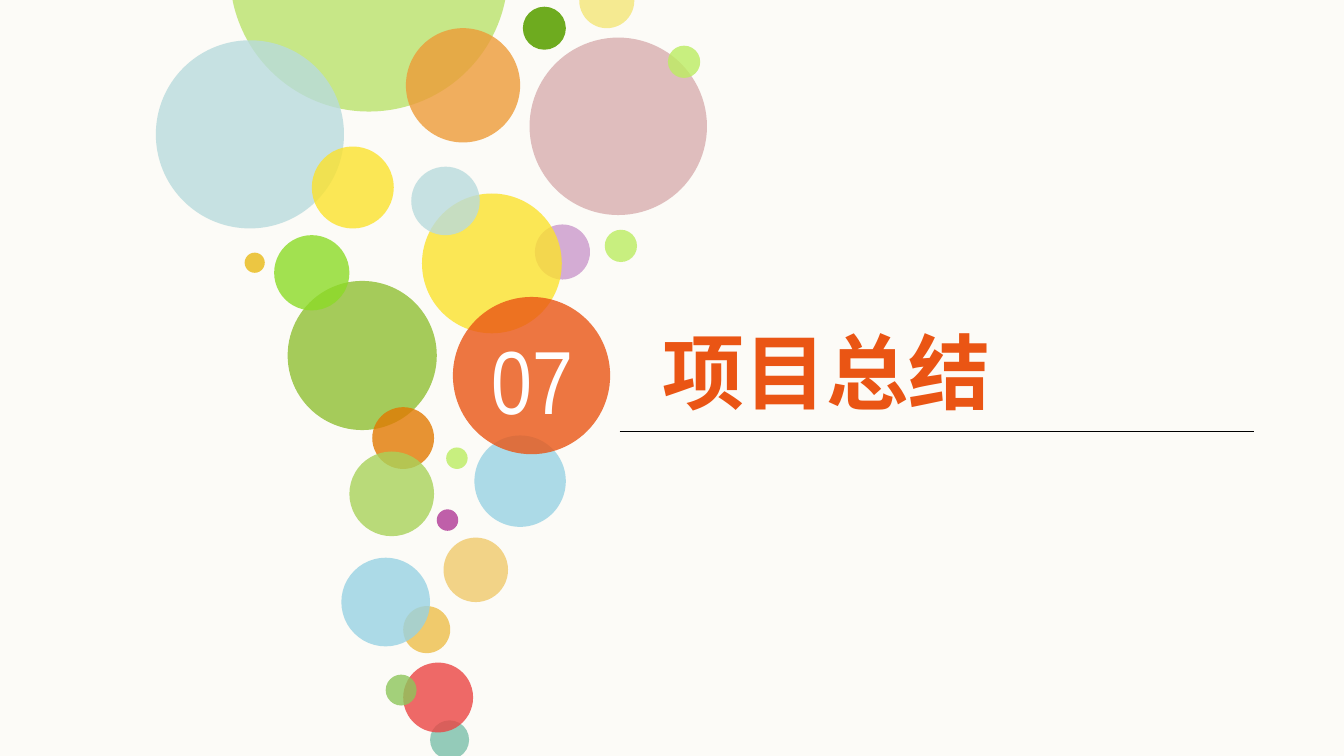
from typing import NamedTuple

from lxml import etree
from pptx import Presentation
from pptx import util as u
from pptx.dml.color import RGBColor
from pptx.enum import shapes, text
from pptx.oxml import ns

BACKGROUND = RGBColor(0xFC, 0xFB, 0xF7)
WHITE = RGBColor(0xFF, 0xFF, 0xFF)
BLACK = RGBColor(0x00, 0x00, 0x00)
VERMILION = RGBColor(0xEA, 0x55, 0x14)
ORANGE = RGBColor(0xED, 0x9B, 0x38)
DARK_ORANGE = RGBColor(0xE2, 0x79, 0x02)
GOLD = RGBColor(0xE9, 0xB9, 0x15)
SAND = RGBColor(0xF0, 0xCA, 0x6C)
YELLOW = RGBColor(0xFB, 0xE2, 0x2D)
PALE_YELLOW = RGBColor(0xF5, 0xEA, 0x91)
PALE_GREEN = RGBColor(0xBA, 0xE3, 0x6B)
LIME = RGBColor(0xBC, 0xED, 0x61)
BRIGHT_GREEN = RGBColor(0x8C, 0xDB, 0x27)
DARK_GREEN = RGBColor(0x6E, 0xAB, 0x1F)
OLIVE = RGBColor(0xA5, 0xCB, 0x5A)
LIGHT_OLIVE = RGBColor(0xA9, 0xD2, 0x5A)
LEAF = RGBColor(0x8D, 0xC6, 0x5B)
TEAL = RGBColor(0x7B, 0xBF, 0xAA)
MIST = RGBColor(0xB9, 0xDB, 0xDD)
SKY = RGBColor(0x98, 0xD2, 0xE3)
ROSE = RGBColor(0xD8, 0xAE, 0xAF)
LILAC = RGBColor(0xCB, 0x99, 0xCC)
MAGENTA = RGBColor(0xB0, 0x38, 0x96)
RED = RGBColor(0xEB, 0x45, 0x44)


class Bubble(NamedTuple):
    left: float
    top: float
    diameter: float
    color: RGBColor
    opacity: int = 80


BUBBLES = [
    Bubble(1.71, -1.24, 2.07, PALE_GREEN),
    Bubble(3.89, 0.05, 0.32, DARK_GREEN, 100),
    Bubble(1.16, 0.3, 1.4, MIST),
    Bubble(3.02, 0.21, 0.85, ORANGE),
    Bubble(4.31, -0.2, 0.41, PALE_YELLOW, 100),
    Bubble(3.94, 0.28, 1.32, ROSE),
    Bubble(2.14, 2.09, 1.11, OLIVE, 100),
    Bubble(4.97, 0.34, 0.24, LIME),
    Bubble(4.5, 1.71, 0.24, LIME),
    Bubble(3.98, 1.67, 0.41, LILAC),
    Bubble(3.14, 1.44, 1.04, YELLOW),
    Bubble(2.32, 1.09, 0.61, YELLOW),
    Bubble(2.04, 1.75, 0.56, BRIGHT_GREEN),
    Bubble(1.82, 1.88, 0.15, GOLD),
    Bubble(3.32, 3.33, 0.16, LIME),
    Bubble(3.25, 3.79, 0.16, MAGENTA),
    Bubble(3.3, 4, 0.48, SAND),
    Bubble(3, 4.51, 0.35, SAND, 100),
    Bubble(3.2, 5.36, 0.29, TEAL),
    Bubble(3, 4.93, 0.52, RED),
    Bubble(2.87, 5.02, 0.23, LEAF),
    Bubble(2.54, 4.15, 0.66, SKY),
    Bubble(3.06, 1.24, 0.51, MIST),
    Bubble(3.53, 3.24, 0.68, SKY),
    Bubble(2.77, 3.03, 0.46, DARK_ORANGE),
    Bubble(2.6, 3.36, 0.63, LIGHT_OLIVE),
    Bubble(3.37, 2.21, 1.17, VERMILION),
]


def draw_bubble(slide, bubble: Bubble) -> None:
    shape = slide.shapes.add_shape(
        shapes.MSO_SHAPE.OVAL, u.Inches(bubble.left), u.Inches(bubble.top),
        u.Inches(bubble.diameter), u.Inches(bubble.diameter))
    shape.shadow.inherit = False
    shape.line.fill.background()
    shape.fill.solid()
    shape.fill.fore_color.rgb = bubble.color
    if bubble.opacity < 100:
        color = shape.fill._xPr.find(".//" + ns.qn("a:srgbClr"))
        etree.SubElement(color, ns.qn("a:alpha"), val=str(bubble.opacity * 1000))


def write_text(shape, content: str, *, font: str, size: float, color: RGBColor,
               align: text.PP_ALIGN, bold: bool = False) -> None:
    frame = shape.text_frame
    frame.word_wrap = True
    frame.auto_size = text.MSO_AUTO_SIZE.NONE
    frame.vertical_anchor = text.MSO_ANCHOR.TOP
    frame.margin_left = frame.margin_right = 0
    frame.margin_top = frame.margin_bottom = 0
    paragraph = frame.paragraphs[0]
    paragraph.alignment = align
    run = paragraph.add_run()
    run.text = content
    run.font.name = font
    run.font.size = u.Pt(size)
    run.font.bold = bold
    run.font.color.rgb = color
    latin = run.font._element.find(ns.qn("a:latin"))
    latin.addnext(etree.Element(ns.qn("a:ea"), typeface=font))


def draw_rule(slide, left: float, right: float, top: float) -> None:
    line = slide.shapes.add_connector(
        shapes.MSO_CONNECTOR.STRAIGHT, u.Inches(left), u.Inches(top),
        u.Inches(right), u.Inches(top))
    line.line.color.rgb = BLACK
    line.line.width = u.Pt(0.75)
    etree.SubElement(line._element.spPr, ns.qn("a:effectLst"))


def main() -> None:
    presentation = Presentation()
    presentation.slide_width = u.Inches(10)
    presentation.slide_height = presentation.slide_width * 9 // 16
    slide = presentation.slides.add_slide(presentation.slide_layouts[5])
    slide.background.fill.solid()
    slide.background.fill.fore_color.rgb = BACKGROUND

    for bubble in BUBBLES:
        draw_bubble(slide, bubble)

    number = slide.shapes.add_textbox(
        u.Inches(3.56), u.Inches(2.42), u.Inches(0.8), u.Inches(0.81))
    write_text(number, "07", font="Arial Narrow", size=48, color=WHITE,
               align=text.PP_ALIGN.CENTER)

    title = slide.shapes.title
    title.left, title.top = u.Inches(4.93), u.Inches(2.39)
    title.width, title.height = u.Inches(3.38), u.Inches(0.74)
    write_text(title, "项目总结", font="Noto Sans CJK SC", size=44, color=VERMILION,
               align=text.PP_ALIGN.JUSTIFY, bold=True)

    draw_rule(slide, 4.61, 9.33, 3.21)
    presentation.save("out.pptx")


if __name__ == "__main__":
    main()
